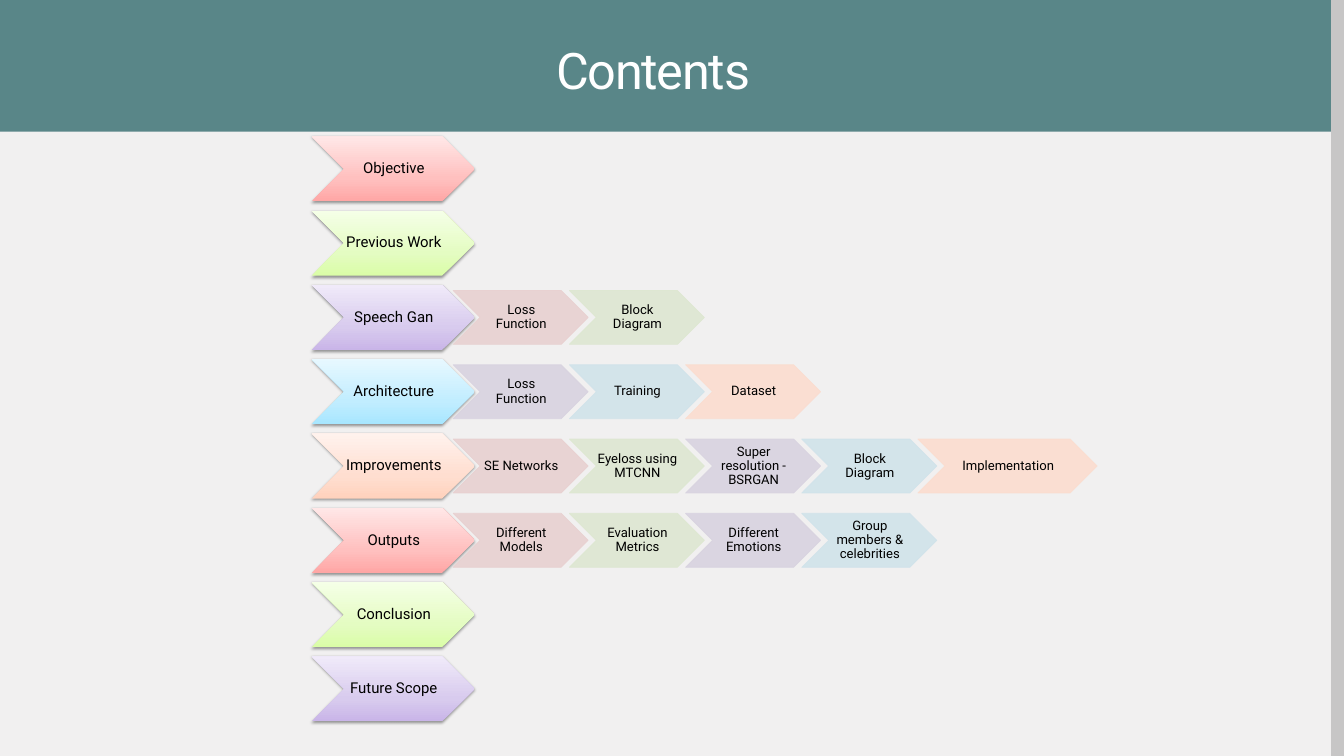
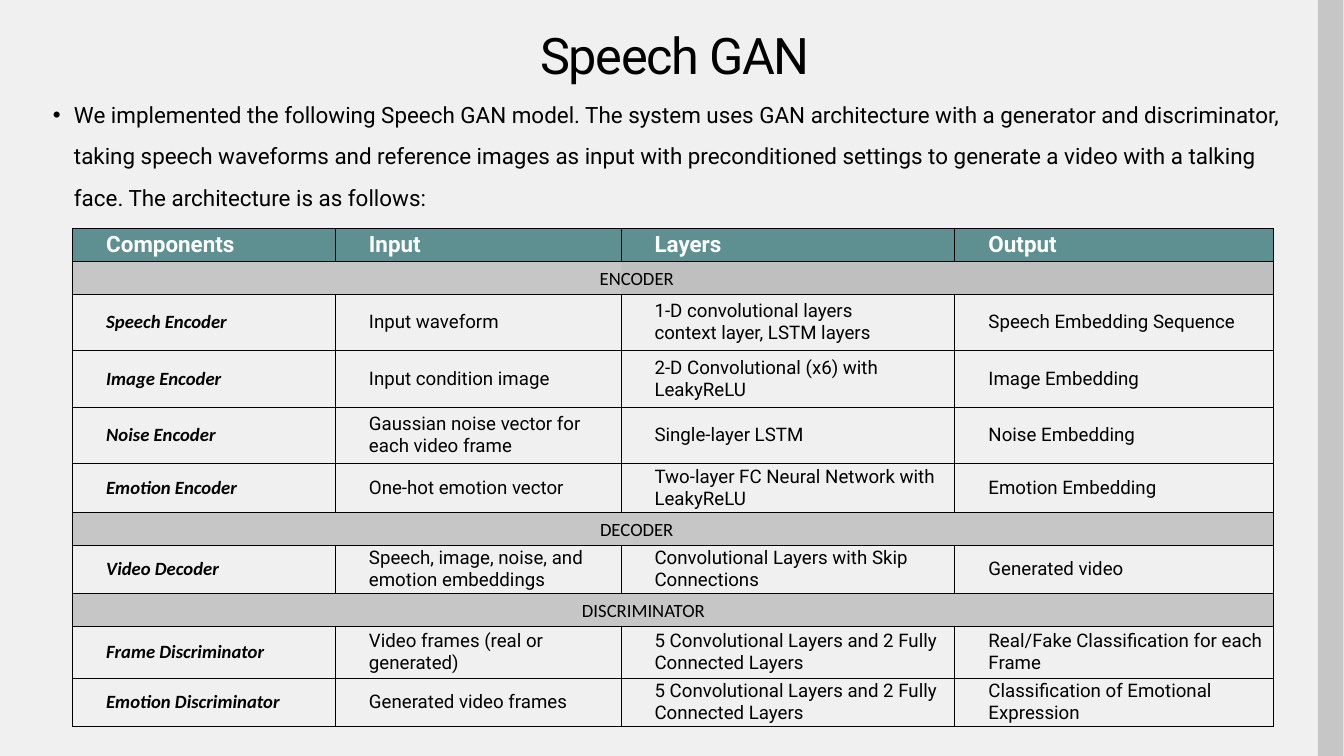
from dataclasses import dataclass
from itertools import cycle

from lxml.etree import SubElement
from pptx import Presentation
from pptx.dml.color import RGBColor
from pptx.enum.shapes import MSO_SHAPE as Preset
from pptx.enum.text import MSO_ANCHOR as Anchor, MSO_AUTO_SIZE as AutoSize, PP_ALIGN as Align
from pptx.oxml.ns import qn
from pptx.util import Pt

COLORS = {
    "background": "F1F0F0", "band": "598688", "edge": "C7C6C6",
    "header": "5E8F91", "section": "C7C6C6", "section_dark": "BFBFBF",
    "black": "000000", "white": "FFFFFF",
    "red_0": "FFA6A5", "red_35": "FFC0BF", "red_100": "FFE7E7", "red_pale": "E8D0D0",
    "green_0": "DAFDA7", "green_35": "E4FCC2", "green_100": "F5FFE7", "green_pale": "DEE7D1",
    "purple_0": "C9B5E8", "purple_35": "D8CBEE", "purple_100": "F0EAF9", "purple_pale": "D8D3E0",
    "blue_0": "A7E6FF", "blue_35": "C1EDFF", "blue_100": "E7F8FF", "blue_pale": "D0E3EA",
    "orange_0": "FFD2BD", "orange_35": "FFDED0", "orange_100": "FFF2ED", "orange_pale": "FCDDCF",
}
HUES = ("red", "green", "purple", "blue", "orange")
FONT, ACCENT_FONT = "Roboto", "Calibri"
WIDTH, HEIGHT = 1440, 810


@dataclass(frozen=True)
class Area:
    left: float
    top: float
    width: float
    height: float

    def lengths(self) -> tuple:
        return Pt(self.left), Pt(self.top), Pt(self.width), Pt(self.height)


@dataclass(frozen=True)
class Style:
    size: float
    color: str = "black"
    font: str = FONT
    bold: bool = False
    italic: bool = False


@dataclass(frozen=True)
class Topic:
    name: str
    steps: tuple = ()


@dataclass(frozen=True)
class Component:
    height: float
    cells: tuple


@dataclass(frozen=True)
class Section:
    height: float
    label: str
    label_left: float
    right_fill: str = "section"


TOPICS = (
    Topic("Objective"),
    Topic("Previous Work"),
    Topic("Speech Gan", ("Loss Function", "Block Diagram")),
    Topic("Architecture", ("Loss Function", "Training", "Dataset")),
    Topic("Improvements", ("SE Networks", "Eyeloss using MTCNN", "Super resolution - BSRGAN",
                           "Block Diagram", "Implementation")),
    Topic("Outputs", ("Different Models", "Evaluation Metrics", "Different Emotions",
                      "Group members & celebrities")),
    Topic("Conclusion"),
    Topic("Future Scope"),
)
TOPIC_AREA = Area(334, 146, 174.5, 69.8)
TOPIC_PITCH = 79.6
STEP_AREA = Area(485.5, 6, 144.7, 57.8)
STEP_PITCH = 124.5
WIDE_STEPS = {"Implementation": 192}

INTRO = ("We implemented the following Speech GAN model. The system uses GAN architecture with a "
         "generator and discriminator, taking speech waveforms and reference images as input with "
         "preconditioned settings to generate a video with a talking face. "
         "The architecture is as follows:")
TABLE_LEFT, TABLE_TOP = 77.8, 244.8
COLUMN_WIDTHS = (281.5, 306, 357.8, 341.3)
HEADINGS = ("Components", "Input", "Layers", "Output")
ROWS = (
    Component(35.3, HEADINGS),
    Section(35.3, "ENCODER", 536.4, "section_dark"),
    Component(60.5, ("Speech Encoder", "Input waveform",
                     "1-D convolutional layers\ncontext layer, LSTM layers",
                     "Speech Embedding Sequence")),
    Component(60.5, ("Image Encoder", "Input condition image",
                     "2-D Convolutional (x6) with LeakyReLU", "Image Embedding")),
    Component(60.5, ("Noise Encoder", "Gaussian noise vector for each video frame",
                     "Single-layer LSTM", "Noise Embedding")),
    Component(51.8, ("Emotion Encoder", "One-hot emotion vector",
                     "Two-layer FC Neural Network with LeakyReLU", "Emotion Embedding")),
    Section(35.3, "DECODER", 536.4),
    Component(51.8, ("Video Decoder", "Speech, image, noise, and emotion embeddings",
                     "Convolutional Layers with Skip Connections", "Generated video")),
    Section(35.3, "DISCRIMINATOR", 543.6),
    Component(55.4, ("Frame Discriminator", "Video frames (real or generated)",
                     "5 Convolutional Layers and 2 Fully Connected Layers",
                     "Real/Fake Classification for each Frame")),
    Component(51.8, ("Emotion Discriminator", "Generated video frames",
                     "5 Convolutional Layers and 2 Fully Connected Layers",
                     "Classification of Emotional Expression")),
)
HEADER_STYLE = Style(24, "white", bold=True)
NAME_STYLE = Style(20, font=ACCENT_FONT, bold=True, italic=True)
CELL_STYLE = Style(20)
LABEL_STYLE = Style(20, font=ACCENT_FONT)


def rgb(name: str) -> RGBColor:
    return RGBColor.from_string(COLORS[name])


def apply_style(para, style: Style) -> None:
    font = para.font
    font.name, font.size = style.font, Pt(style.size)
    font.bold, font.italic = style.bold, style.italic
    font.color.rgb = rgb(style.color)


def set_insets(frame, left: float = 0, top: float = 0, right: float = 0, bottom: float = 0) -> None:
    frame.margin_left, frame.margin_top = Pt(left), Pt(top)
    frame.margin_right, frame.margin_bottom = Pt(right), Pt(bottom)


def add_title(page, text: str, area: Area, color: str) -> None:
    title = page.shapes.title
    title.left, title.top, title.width, title.height = area.lengths()
    frame = title.text_frame
    frame.text = text
    frame.auto_size, frame.vertical_anchor = AutoSize.NONE, Anchor.TOP
    set_insets(frame)
    para = frame.paragraphs[0]
    para.alignment, para.line_spacing = Align.CENTER, Pt(70.2)
    apply_style(para, Style(54, color))
    para.font._rPr.set("spc", "-140")


def add_band(page, area: Area, color: str) -> None:
    band = page.shapes.add_shape(Preset.RECTANGLE, *area.lengths())
    band.shadow.inherit = False
    band.fill.solid()
    band.fill.fore_color.rgb = rgb(color)
    band.line.fill.background()
    page.shapes.title.element.addprevious(band.element)


def add_edge(page, left: float) -> None:
    add_band(page, Area(left, 0, 27.4, HEIGHT), "edge")


def add_chevron(page, text: str, area: Area, size: float):
    chevron = page.shapes.add_shape(Preset.CHEVRON, *area.lengths())
    chevron.shadow.inherit = False
    frame = chevron.text_frame
    frame.text = text
    frame.word_wrap, frame.vertical_anchor = True, Anchor.MIDDLE
    set_insets(frame, 1.4, 0.7, 0, 0.7)
    para = frame.paragraphs[0]
    para.alignment, para.line_spacing = Align.CENTER, 0.9
    apply_style(para, Style(size))
    return chevron


def add_topic(page, text: str, area: Area, hue: str) -> None:
    chevron = add_chevron(page, text, area, 16)
    chevron.line.fill.background()
    chevron.fill.gradient()
    chevron.fill.gradient_angle = 90
    properties = chevron.element.spPr
    stops = properties.find(".//" + qn("a:gsLst"))
    for stop in list(stops):
        stops.remove(stop)
    for position in (0, 35, 100):
        stop = SubElement(stops, qn("a:gs"), pos=str(position * 1000))
        SubElement(stop, qn("a:srgbClr"), val=COLORS[f"{hue}_{position}"])
    shadow = SubElement(properties.find(qn("a:effectLst")), qn("a:outerShdw"),
                        blurRad=str(Pt(3.1)), dist=str(Pt(1.6)), dir="5400000", rotWithShape="0")
    tint = SubElement(shadow, qn("a:srgbClr"), val=COLORS["black"])
    SubElement(tint, qn("a:alpha"), val="38000")


def add_step(page, text: str, area: Area, hue: str) -> None:
    chevron = add_chevron(page, text, area, 14)
    color = rgb(f"{hue}_pale")
    chevron.fill.solid()
    chevron.fill.fore_color.rgb = color
    chevron.line.color.rgb = color
    chevron.line.width = Pt(0.75)
    for tint in chevron.element.spPr.iter(qn("a:srgbClr")):
        SubElement(tint, qn("a:alpha"), val="90000")


def add_textbox(page, text: str, area: Area):
    frame = page.shapes.add_textbox(*area.lengths()).text_frame
    frame.word_wrap = True
    frame.text = text
    return frame


def add_intro(page, text: str, area: Area) -> None:
    para = add_textbox(page, text, area).paragraphs[0]
    para.line_spacing = Pt(44)
    properties = para._p.get_or_add_pPr()
    properties.set("marL", str(Pt(22.5)))
    properties.set("indent", str(Pt(-22.5)))
    SubElement(properties, qn("a:buFont"), typeface="Arial")
    SubElement(properties, qn("a:buChar"), char="•")
    apply_style(para, Style(24))


def add_section_label(page, section: Section, row_top: float) -> None:
    frame = add_textbox(page, section.label, Area(section.label_left, row_top + 3.6, 291.6, 28.8))
    frame.vertical_anchor = Anchor.MIDDLE
    para = frame.paragraphs[0]
    para.alignment = Align.CENTER
    apply_style(para, LABEL_STYLE)


def set_borders(cell, sides: str) -> None:
    properties = cell._tc.get_or_add_tcPr()
    for side in "LRTB":
        if side in sides:
            line = SubElement(properties, qn(f"a:ln{side}"), w=str(Pt(1)))
            paint = SubElement(line, qn("a:solidFill"))
            SubElement(paint, qn("a:srgbClr"), val=COLORS["black"])
        else:
            line = SubElement(properties, qn(f"a:ln{side}"), w="0")
            SubElement(line, qn("a:noFill"))


def fill_cell(cell, color: str) -> None:
    cell.fill.solid()
    cell.fill.fore_color.rgb = rgb(color)


def write_cell(cell, text: str, style: Style) -> None:
    cell.text = text
    cell.vertical_anchor = Anchor.MIDDLE
    set_insets(cell)
    for para in cell.text_frame.paragraphs:
        para.level = 1
        properties = para._p.get_or_add_pPr()
        properties.set("marL", str(Pt(36)))
        properties.set("indent", "0")
        apply_style(para, style)


def draw_section(cells: list, section: Section) -> None:
    last = len(cells) - 1
    for index, cell in enumerate(cells):
        set_borders(cell, "TB" + {0: "L", last: "R"}.get(index, ""))
        fill_cell(cell, "section" if index < 2 else section.right_fill)


def draw_component(cells: list, component: Component) -> None:
    heading = component.cells is HEADINGS
    for index, (cell, text) in enumerate(zip(cells, component.cells)):
        set_borders(cell, "LRTB")
        if heading:
            fill_cell(cell, "header")
            write_cell(cell, text, HEADER_STYLE)
        else:
            cell.fill.background()
            write_cell(cell, text, CELL_STYLE if index else NAME_STYLE)


def add_components(page) -> None:
    area = Area(TABLE_LEFT, TABLE_TOP, sum(COLUMN_WIDTHS), sum(row.height for row in ROWS))
    table = page.shapes.add_table(len(ROWS), len(COLUMN_WIDTHS), *area.lengths()).table
    table.first_row = table.horz_banding = False
    for column, width in zip(table.columns, COLUMN_WIDTHS):
        column.width = Pt(width)
    top = TABLE_TOP
    for row, entry in zip(table.rows, ROWS):
        row.height = Pt(entry.height)
        if isinstance(entry, Section):
            draw_section(list(row.cells), entry)
            add_section_label(page, entry, top)
        else:
            draw_component(list(row.cells), entry)
        top += entry.height


def build_contents(page) -> None:
    add_band(page, Area(0, 0, WIDTH, 141), "band")
    add_edge(page, 1426.3)
    add_title(page, "Contents", Area(36.7, 36.7, 1326.2, 69.1), "white")
    step_hues = cycle(HUES)
    for index, (topic, hue) in enumerate(zip(TOPICS, cycle(HUES))):
        top = TOPIC_AREA.top + index * TOPIC_PITCH
        add_topic(page, topic.name,
                  Area(TOPIC_AREA.left, top, TOPIC_AREA.width, TOPIC_AREA.height), hue)
        for place, step in enumerate(topic.steps):
            area = Area(STEP_AREA.left + place * STEP_PITCH, top + STEP_AREA.top,
                        WIDE_STEPS.get(step, STEP_AREA.width), STEP_AREA.height)
            add_step(page, step, area, next(step_hues))


def build_speech_gan(page) -> None:
    add_edge(page, 1412)
    add_title(page, "Speech GAN", Area(38.9, 20.9, 1368.7, 69.1), "black")
    add_intro(page, INTRO, Area(49.7, 90, 1358.6, 226))
    add_components(page)


def main() -> None:
    deck = Presentation()
    deck.slide_width, deck.slide_height = Pt(WIDTH), Pt(HEIGHT)
    backdrop = deck.slide_master.background.fill
    backdrop.solid()
    backdrop.fore_color.rgb = rgb("background")
    for build in (build_contents, build_speech_gan):
        build(deck.slides.add_slide(deck.slide_layouts[5]))
    deck.save("out.pptx")


if __name__ == "__main__":
    main()
